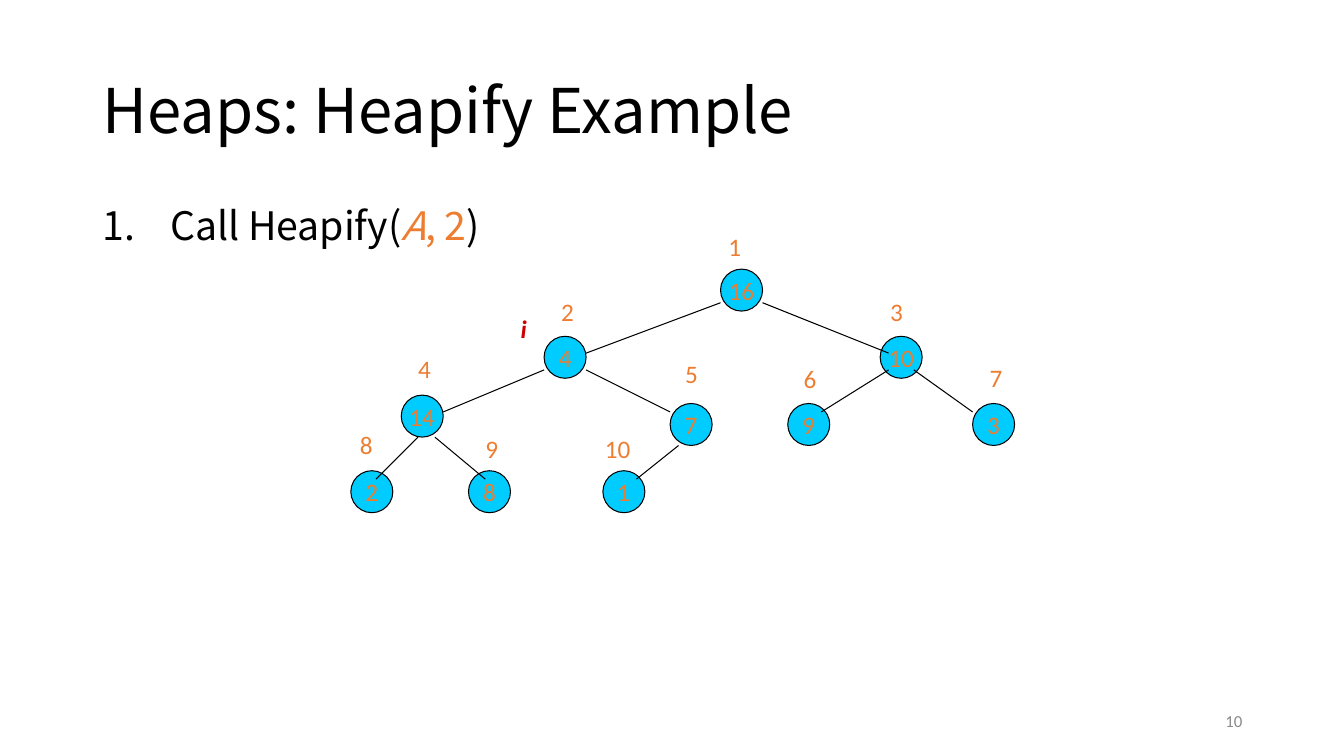
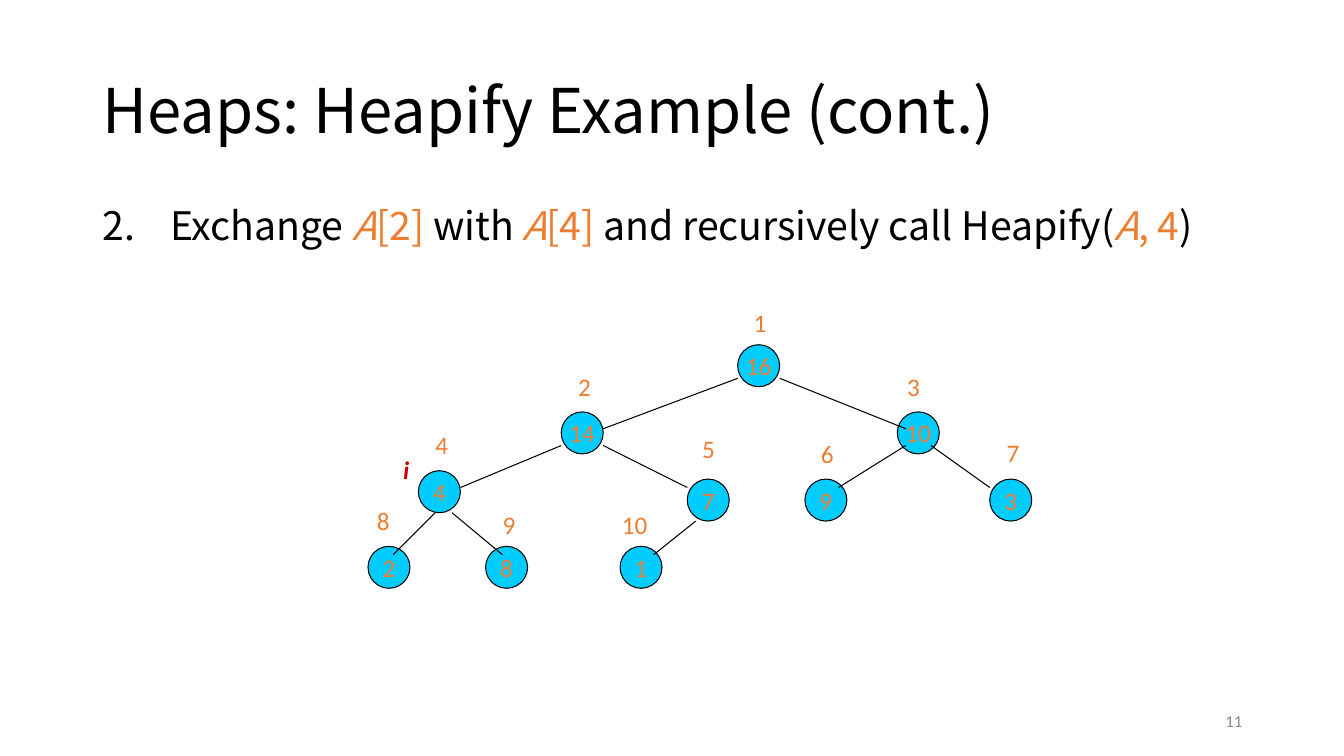
import pptx
import pptx.util
import pptx.dml.color
import pptx.enum.shapes
import pptx.enum.text
import pptx.oxml.ns
from dataclasses import dataclass
from lxml import etree

# Content: a step's text marks variables with "var" and indices with "index"
STEPS = [
    dict(title="Heaps: Heapify Example", page=10, number=1,
         text=[("Call Heapify(", ""), ("A", "var"), (", 2", "index"), (")", "")],
         heap=[16, 4, 10, 14, 7, 9, 3, 2, 8, 1],
         origin=(3.48, 2.67), root_shift=-0.02, current=(2, -0.33, -0.28)),
    dict(title="Heaps: Heapify Example (cont.)", page=11, number=2,
         text=[("Exchange ", ""), ("A", "var"), ("[2]", "index"), (" with ", ""),
               ("A", "var"), ("[4]", "index"), (" and recursively call Heapify(", ""),
               ("A", "var"), (", 4", "index"), (")", "")],
         heap=[16, 14, 10, 4, 7, 9, 3, 2, 8, 1],
         origin=(3.65, 3.42), root_shift=0.06, current=(4, -0.25, -0.21)),
]

# Heap layout: node corners in grid cells from the tree's origin, by heap index
CELL = 1 / 12
NODE = 5
NODES = {1: (44, 0), 2: (23, 8), 3: (63, 8), 4: (6, 15), 5: (38, 16), 6: (52, 16),
         7: (74, 16), 8: (0, 24), 9: (14, 24), 10: (30, 24)}
# Child: where its edge leaves the parent and meets the child, in cells of each node
EDGES = {2: ((0, 4), (5, 2)), 3: ((5, 4), (1, 2)), 4: ((0, 4), (5, 2)),
         8: ((2, 5), (3, 1)), 9: ((4, 5), (2, 1)), 5: ((5, 4), (0, 1)),
         10: ((1, 5), (4, 1)), 6: ((1, 4), (4, 1)), 7: ((4, 4), (0, 1))}
# Index labels, in inches from their node's corner
LABELS = {1: (0, -0.42), 2: (0.07, -0.45), 3: (0, -0.45), 4: (0.07, -0.46),
          5: (0.05, -0.5), 6: (0.06, -0.45), 7: (0.07, -0.46), 8: (-0.01, -0.46),
          9: (0.07, -0.42), 10: (-0.08, -0.42)}


@dataclass(frozen=True)
class Theme:
    ink: str = "000000"
    accent: str = "ED7D31"
    marker: str = "CD0000"
    node: str = "00CCFF"
    muted: str = "898989"
    heading_font: str = "Noto Sans CJK SC"
    label_font: str = "Calibri"
    title_size: int = 44
    body_size: int = 28
    label_size: int = 18
    page_size: int = 12
    line_width: float = 0.75


THEME = Theme()
INCH, PT = pptx.util.Inches, pptx.util.Pt
ALIGN, ANCHOR = pptx.enum.text.PP_ALIGN, pptx.enum.text.MSO_ANCHOR


# Shared styling
def rgb(color):
    return pptx.dml.color.RGBColor.from_string(color)


def style(run, font, size, color, bold=False, italic=False):
    run.font.name, run.font.size = font, PT(size)
    run.font.color.rgb = rgb(color)
    run.font.bold, run.font.italic = bold, italic


def outline(part):
    part.line.color.rgb = rgb(THEME.ink)
    part.line.width = PT(THEME.line_width)


def text_area(shapes, left, top, width, height, anchor=ANCHOR.TOP):
    frame = shapes.add_textbox(*map(INCH, (left, top, width, height))).text_frame
    frame.word_wrap, frame.vertical_anchor = True, anchor
    return frame


def write(frame, text, *look, **emphasis):
    frame.text = str(text)
    paragraph = frame.paragraphs[0]
    style(paragraph.runs[0], *look, **emphasis)
    return paragraph


# Slide frame: page number, title and numbered step
def add_frame(slide, step):
    page = text_area(slide.shapes, 9.42, 6.95, 3, 0.4, ANCHOR.MIDDLE)
    write(page, step["page"], THEME.label_font, THEME.page_size,
          THEME.muted).alignment = ALIGN.RIGHT

    title = text_area(slide.shapes, 0.92, 0.4, 11.5, 1.45, ANCHOR.MIDDLE)
    write(title, step["title"], THEME.heading_font, THEME.title_size,
          THEME.ink).line_spacing = 0.9

    sentence = text_area(slide.shapes, 0.92, 2, 11.5, 4.76).paragraphs[0]
    sentence.line_spacing, sentence.space_before = 0.9, PT(10)
    for words, role in step["text"]:
        run = sentence.add_run()
        run.text = words
        style(run, THEME.heading_font, THEME.body_size,
              THEME.accent if role else THEME.ink, italic=role == "var")
    properties = sentence._p.get_or_add_pPr()
    properties.set("marL", str(INCH(0.67)))
    properties.set("indent", str(INCH(-0.67)))
    etree.SubElement(properties, pptx.oxml.ns.qn("a:buFont"), typeface="+mj-lt")
    etree.SubElement(properties, pptx.oxml.ns.qn("a:buAutoNum"),
                     type="arabicPeriod", startAt=str(step["number"]))


# Heap tree
def add_label(shapes, left, top, width, text, color, **emphasis):
    frame = text_area(shapes, left, top, width, 0.4)
    frame.word_wrap = False
    frame.auto_size = pptx.enum.text.MSO_AUTO_SIZE.SHAPE_TO_FIT_TEXT
    write(frame, text, THEME.label_font, THEME.label_size, color, **emphasis)


def add_heap(slide, step):
    tree = slide.shapes.add_group_shape().shapes

    def place(index, offset=(0, 0)):
        return [start + (cell + shift) * CELL for start, cell, shift
                in zip(step["origin"], NODES[index], offset)]

    for index, value in enumerate(step["heap"], 1):
        node = tree.add_shape(pptx.enum.shapes.MSO_SHAPE.OVAL,
                              *map(INCH, place(index)), *[INCH(NODE * CELL)] * 2)
        node.shadow.inherit = False
        node.fill.solid()
        node.fill.fore_color.rgb = rgb(THEME.node)
        outline(node)
        node.text_frame.word_wrap = False
        node.text_frame.vertical_anchor = ANCHOR.MIDDLE
        write(node.text_frame, value, THEME.label_font, THEME.label_size,
              THEME.accent).alignment = ALIGN.CENTER

    for child, (leave, meet) in EDGES.items():
        edge = tree.add_connector(pptx.enum.shapes.MSO_CONNECTOR.STRAIGHT,
                                  *map(INCH, place(child // 2, leave) + place(child, meet)))
        outline(edge)
        etree.SubElement(edge._element.spPr, pptx.oxml.ns.qn("a:effectLst"))

    for index, (right, down) in LABELS.items():
        left, top = place(index)
        shift = step["root_shift"] if index == 1 else 0
        add_label(tree, left + right + shift, top + down,
                  0.46 if index > 9 else 0.33, index, THEME.accent)

    index, right, down = step["current"]
    left, top = place(index)
    add_label(tree, left + right, top + down, 0.26, "i", THEME.marker,
              bold=True, italic=True)


# Build the deck
deck = pptx.Presentation()
deck.slide_width, deck.slide_height = INCH(13.33), INCH(7.5)
for step in STEPS:
    slide = deck.slides.add_slide(deck.slide_layouts[6])
    add_frame(slide, step)
    add_heap(slide, step)
deck.save("out.pptx")
